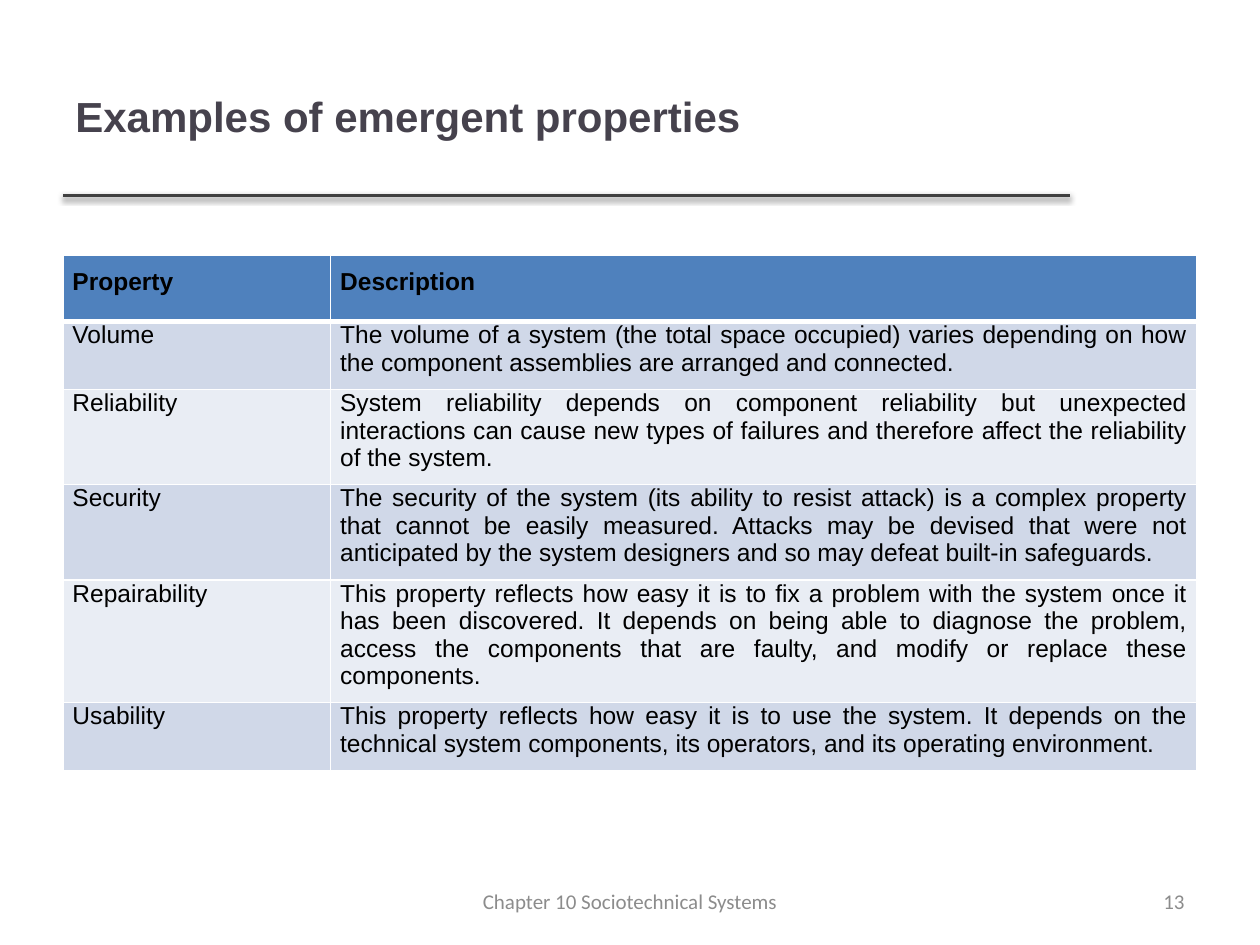
"""Builds the slide with a table of emergent system properties."""
from lxml import etree
from pptx import Presentation
from pptx.dml.color import RGBColor
from pptx.enum.shapes import MSO_CONNECTOR
from pptx.enum.text import MSO_ANCHOR, PP_ALIGN
from pptx.oxml import parse_xml
from pptx.oxml.ns import qn
from pptx.util import Pt

LEFT, CENTER, RIGHT, JUSTIFY = PP_ALIGN.LEFT, PP_ALIGN.CENTER, PP_ALIGN.RIGHT, PP_ALIGN.JUSTIFY
MIDDLE = MSO_ANCHOR.MIDDLE
STRAIGHT = MSO_CONNECTOR.STRAIGHT

BLACK = RGBColor(0x00, 0x00, 0x00)
TITLE_COLOR = RGBColor(0x46, 0x42, 0x4D)
FOOTER_COLOR = RGBColor(0x8C, 0x8C, 0x8C)
RULE_COLOR = RGBColor(0x40, 0x40, 0x40)
HEADER_FILL = RGBColor(0x4F, 0x81, 0xBD)
BAND_FILLS = (RGBColor(0xE9, 0xED, 0xF4), RGBColor(0xD0, 0xD8, 0xE8))

TEXTS = [
    ("Examples of emergent properties", (36, 20.88, 648, 90), LEFT, "Arial", 24, True, TITLE_COLOR),
    ("13", (516, 500.5, 168, 28.75), RIGHT, "Calibri", 12, False, FOOTER_COLOR),
    ("Chapter 10 Sociotechnical Systems", (246, 500.5, 228, 28.75), CENTER, "Calibri", 12, False,
     FOOTER_COLOR),
]
HEADER = ("Property", "Description")
PROPERTIES = [
    ("Volume", "The volume of a system (the total space occupied) varies depending on how the "
     "component assemblies are arranged and connected.", 2),
    ("Reliability", "System reliability depends on component reliability but unexpected "
     "interactions can cause new types of failures and therefore affect the reliability of the "
     "system.", 3),
    ("Security", "The security of the system (its ability to resist attack) is a complex property "
     "that cannot be easily measured. Attacks may be devised that were not anticipated by the "
     "system designers and so may defeat built-in safeguards.", 3),
    ("Repairability", "This property reflects how easy it is to fix a problem with the system once "
     "it has been discovered. It depends on being able to diagnose the problem, access the "
     "components that are faulty, and modify or replace these components.", 4),
    ("Usability", "This property reflects how easy it is to use the system. It depends on the "
     "technical system components, its operators, and its operating environment.", 2),
]
COLUMN_WIDTHS = (153, 495)
HEADER_HEIGHT, LINE_HEIGHT, CELL_GAP = 38, 15.7, 7.2
TABLE_LEFT, TABLE_TOP = 36, 145.8
SHADOW = (
    '<a:effectLst xmlns:a="http://schemas.openxmlformats.org/drawingml/2006/main">'
    '<a:outerShdw blurRad="39370" dist="20320" dir="5400000" rotWithShape="0">'
    '<a:srgbClr val="000000"><a:alpha val="38000"/></a:srgbClr></a:outerShdw></a:effectLst>'
)


def format_text(text_frame, alignment, font_name, size, bold, color):
    paragraph = text_frame.paragraphs[0]
    paragraph.alignment = alignment
    font = paragraph.runs[0].font
    font.name, font.size, font.bold = font_name, Pt(size), bold
    font.color.rgb = color


def add_text(slide, text, box, *style):
    text_frame = slide.shapes.add_textbox(*map(Pt, box)).text_frame
    text_frame.word_wrap = True
    text_frame.vertical_anchor = MIDDLE
    text_frame.text = text
    format_text(text_frame, *style)


def set_borders(cell, bottom_width):
    properties = cell._tc.get_or_add_tcPr()
    widths = {"a:lnL": 1, "a:lnR": 1, "a:lnT": 1, "a:lnB": bottom_width}
    for position, (tag, width) in enumerate(widths.items()):
        line = etree.Element(qn(tag), w=str(Pt(width)))
        fill = etree.SubElement(line, qn("a:solidFill"))
        etree.SubElement(fill, qn("a:srgbClr"), val="FFFFFF")
        properties.insert(position, line)


def add_rule(slide):
    rule = slide.shapes.add_connector(STRAIGHT, Pt(36), Pt(111.6), Pt(611.3), Pt(111.6))
    rule.line.color.rgb = RULE_COLOR
    rule.line.width = Pt(2)
    rule._element.spPr.append(parse_xml(SHADOW))


def add_property_table(slide):
    rows = [HEADER] + [(name, description) for name, description, _ in PROPERTIES]
    heights = [HEADER_HEIGHT] + [LINE_HEIGHT * lines + CELL_GAP for *_, lines in PROPERTIES]
    table = slide.shapes.add_table(
        len(rows), len(HEADER), Pt(TABLE_LEFT), Pt(TABLE_TOP),
        Pt(sum(COLUMN_WIDTHS)), Pt(sum(heights))).table
    for column, width in zip(table.columns, COLUMN_WIDTHS):
        column.width = Pt(width)
    for row_index, (texts, height) in enumerate(zip(rows, heights)):
        is_header = row_index == 0
        table.rows[row_index].height = Pt(height)
        for column_index, text in enumerate(texts):
            cell = table.cell(row_index, column_index)
            cell.text = text
            format_text(cell.text_frame, JUSTIFY, "Arial", 14, is_header, BLACK)
            cell.margin_left = cell.margin_right = Pt(5.4)
            cell.margin_top = Pt(CELL_GAP if is_header else 0)
            cell.margin_bottom = Pt(CELL_GAP)
            cell.fill.solid()
            cell.fill.fore_color.rgb = HEADER_FILL if is_header else BAND_FILLS[row_index % 2]
            set_borders(cell, 3 if is_header else 1)


presentation = Presentation()
presentation.slide_width, presentation.slide_height = Pt(720), Pt(540)
slide = presentation.slides.add_slide(presentation.slide_layouts[6])
add_rule(slide)
add_property_table(slide)
for item in TEXTS:
    add_text(slide, *item)
presentation.save("out.pptx")
